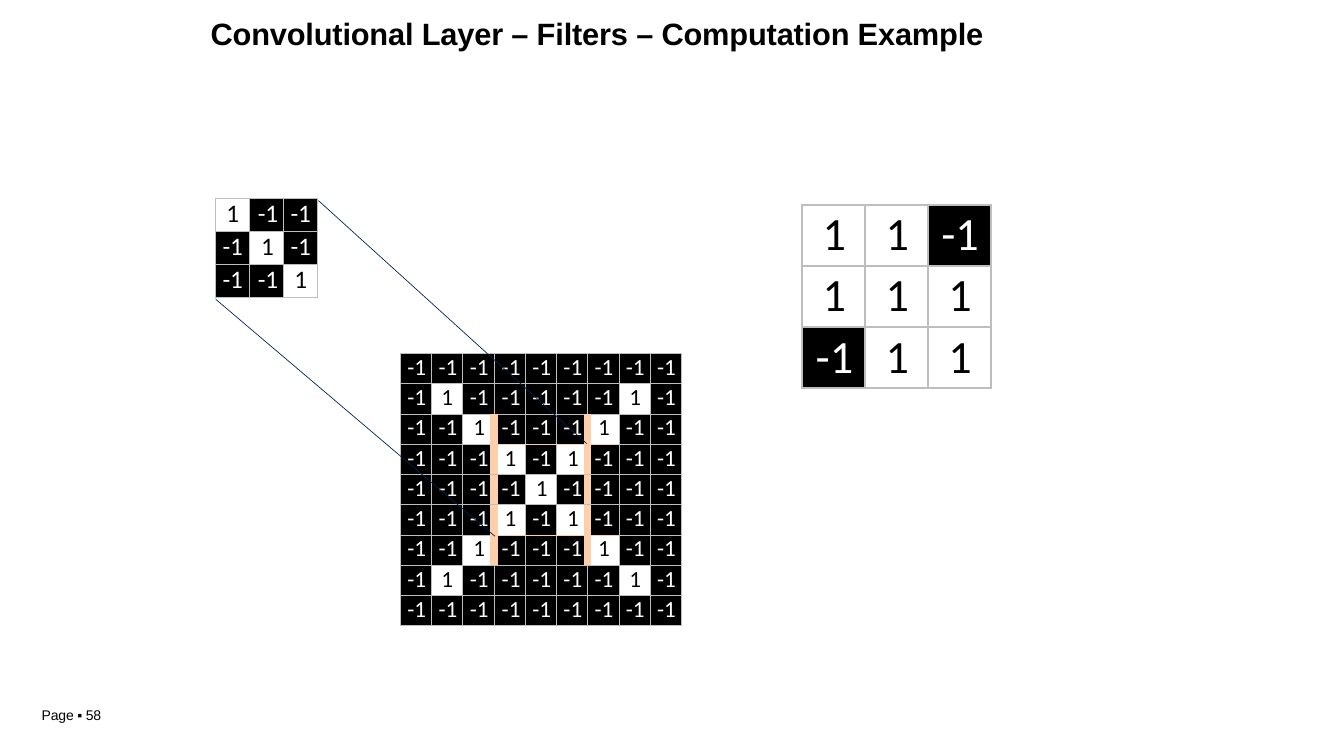
from lxml import etree
from pptx import Presentation
from pptx import util as u
from pptx.dml.color import RGBColor
from pptx.enum import shapes, text
from pptx.oxml.ns import qn

BLACK, WHITE, GREY, PEACH, NAVY = "000000", "FFFFFF", "BEBEBE", "FDCFAA", "001F50"
ALIGN = {"l": text.PP_ALIGN.LEFT, "c": text.PP_ALIGN.CENTER, "r": text.PP_ALIGN.RIGHT}


def colour(value):
    return RGBColor.from_string(value)


def add_span(para, words, size, font, shade, bold=False, spacing=0):
    """Add one run; spacing is in hundredths of a point."""
    span = para.add_run()
    span.text = words
    span.font.size = u.Pt(size)
    span.font.name = font
    span.font.bold = bold
    span.font.color.rgb = colour(shade)
    if spacing:
        span._r.get_or_add_rPr().set("spc", str(spacing))


def clear_margins(frame, top=0):
    frame.margin_left = frame.margin_right = frame.margin_bottom = 0
    frame.margin_top = u.Pt(top)
    frame.vertical_anchor = text.MSO_ANCHOR.TOP
    frame.word_wrap = True


def set_borders(cell, borders):
    """Draw the sides L, R, T and B, each a pair of colour and width."""
    props = cell._tc.get_or_add_tcPr()
    for side in "LRTB":
        shade, width = borders[side]
        line = etree.SubElement(props, qn(f"a:ln{side}"), w=str(u.Pt(width)))
        fill = etree.SubElement(line, qn("a:solidFill"))
        etree.SubElement(fill, qn("a:srgbClr"), val=shade)


def window_borders(row, col):
    """Sides of an image cell that lie on the highlighted filter window."""
    borders = {}
    if 2 <= row <= 6:
        if col in (2, 5):
            borders["R"] = (PEACH, 6)
        if col in (3, 6):
            borders["L"] = (PEACH, 6)
    if 3 <= col <= 6:
        if row in (2, 5):
            borders["B"] = (PEACH, 0.75)
        if row in (3, 6):
            borders["T"] = (PEACH, 0.75)
    return borders


def no_borders(row, col):
    return {}


def add_pixel_grid(page, box, aligns, size, is_one, line=0.75, top=0, extra=no_borders):
    """Square table of 1 (white) and -1 (black); aligns has a letter per column."""
    count = len(aligns)
    frame = page.shapes.add_table(count, count, *map(u.Pt, box))
    for row in range(count):
        for col, align in enumerate(aligns):
            one = is_one(row, col)
            cell = frame.table.cell(row, col)
            cell.margin_left = cell.margin_right = cell.margin_bottom = 0
            cell.margin_top = u.Pt(top)
            borders = dict.fromkeys("LRTB", (GREY, line))
            borders.update(extra(row, col))
            set_borders(cell, borders)
            cell.fill.solid()
            cell.fill.fore_color.rgb = colour(WHITE if one else BLACK)
            para = cell.text_frame.paragraphs[0]
            para.alignment = ALIGN[align]
            indent = 1
            if align == "l":
                indent = 7 if one else 5
            elif align == "r":
                cell.margin_right = u.Pt(6.5 if one else 3.5)
            para._p.get_or_add_pPr().set("marL", str(u.Pt(indent)))
            add_span(para, "1" if one else "-1", size, "Calibri", BLACK if one else WHITE)


def add_projection_line(page, start, end):
    line = page.shapes.add_connector(
        shapes.MSO_CONNECTOR.STRAIGHT, *map(u.Pt, start + end))
    line.line.color.rgb = colour(NAVY)
    line.line.width = u.Pt(0.48)
    etree.SubElement(line._element.spPr, qn("a:effectLst"))


def add_title(page, box):
    title = page.shapes.title
    title.left, title.top, title.width, title.height = map(u.Pt, box)
    clear_margins(title.text_frame, 2)
    para = title.text_frame.paragraphs[0]
    para.alignment = ALIGN["l"]
    add_span(para, "Convolutional Layer – Filters – Computation Example",
             22, "Arial", BLACK, True, -10)


def add_page_number(page, box):
    frame = page.shapes.add_textbox(*map(u.Pt, box)).text_frame
    clear_margins(frame)
    add_span(frame.paragraphs[0], "Page ▪ 58", 10, "Arial", BLACK, spacing=-10)


def add_convolution_slide(deck):
    page = deck.slides.add_slide(deck.slide_layouts[5])
    add_title(page, (150.5, 8.6, 564, 28))
    add_pixel_grid(page, (573.1, 146.2, 134.7, 131.1), "ccc", 33,
                   lambda row, col: row == col or row + col != 2, 1.5, 1.5)
    add_pixel_grid(page, (153.6, 141.8, 72.9, 70.8), "crc", 18,
                   lambda row, col: row == col)
    add_pixel_grid(page, (286, 252.6, 201, 194.4), "clcrccccc", 16.5,
                   lambda row, col: 1 <= row <= 7 and (row == col or row + col == 8),
                   extra=window_borders)
    add_projection_line(page, (419, 316.8), (227.5, 143.3))
    add_projection_line(page, (353.5, 383), (154.1, 213.8))
    add_page_number(page, (29.8, 504.7, 50, 13))


def main():
    deck = Presentation()
    deck.slide_width, deck.slide_height = u.Pt(960), u.Pt(540)
    add_convolution_slide(deck)
    deck.save("out.pptx")


if __name__ == "__main__":
    main()
